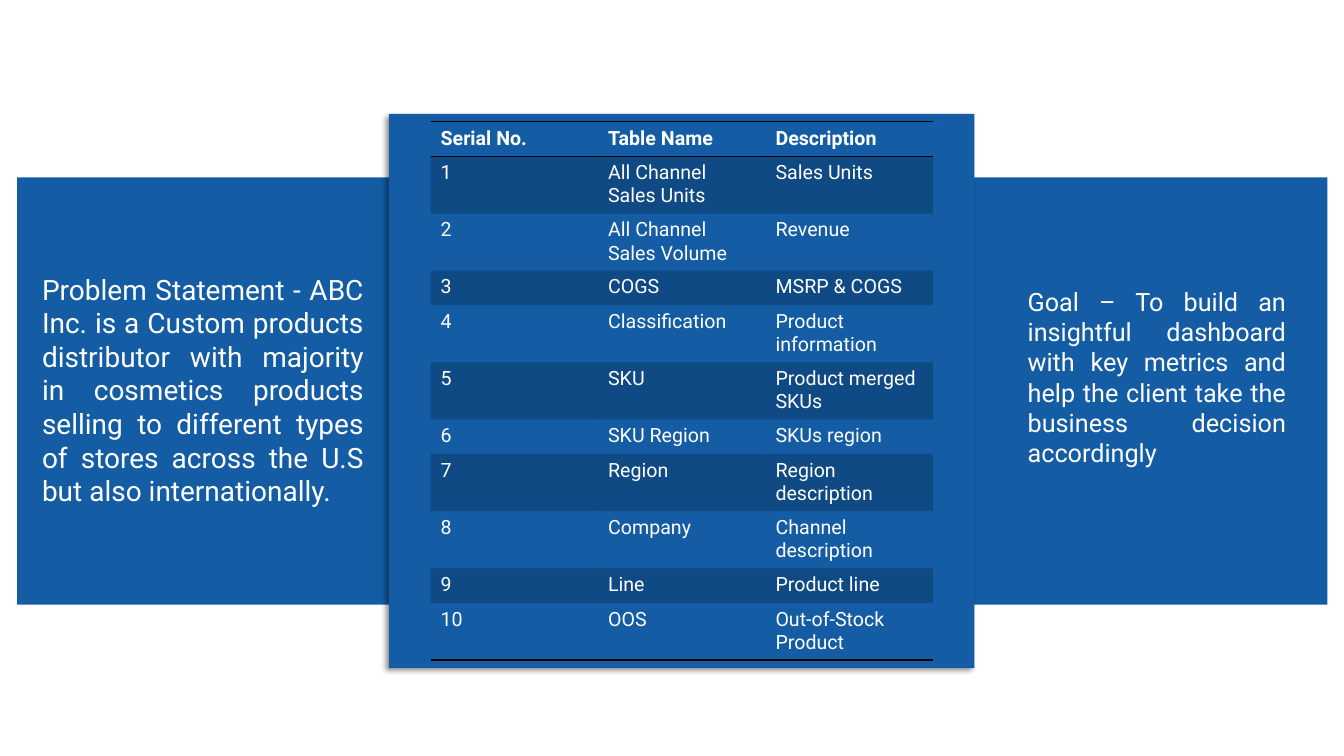
from lxml import etree
from pptx import Presentation
from pptx.dml import color
from pptx.enum import shapes, text
from pptx.oxml import ns
from pptx.util import Cm, Pt

BLUE, WHITE, BLACK = "145DA5", "FFFFFF", "000000"
FONT = "Roboto"
PLAIN = "{2D5ABB26-0587-4C30-8999-92F81FD0307C}"  # no style, no grid

PROBLEM = (
    "Problem Statement - ABC Inc. is a Custom products distributor with "
    "majority in cosmetics products selling to different types of stores "
    "across the U.S but also internationally."
)
GOAL = (
    "Goal – To build an insightful dashboard with key metrics and help "
    "the client take the business decision accordingly"
)
ROWS = [
    ("Serial No.", "Table Name", "Description"),
    ("1", "All Channel Sales Units", "Sales Units"),
    ("2", "All Channel Sales Volume", "Revenue"),
    ("3", "COGS", "MSRP & COGS"),
    ("4", "Classification", "Product information"),
    ("5", "SKU", "Product merged SKUs"),
    ("6", "SKU Region", "SKUs region"),
    ("7", "Region", "Region description"),
    ("8", "Company", "Channel description"),
    ("9", "Line", "Product line"),
    ("10", "OOS", "Out-of-Stock Product"),
]
SHORT = {0, 3, 6, 9}  # rows with a single line of text


def paint(fmt, value):
    fmt.solid()
    fmt.fore_color.rgb = color.RGBColor.from_string(value)


def node(parent, tag, **attrs):
    return etree.SubElement(parent, ns.qn(tag), attrs)


def style(para, size, bold=False):
    font = para.font
    font.name, font.size, font.bold = FONT, Pt(size), bold
    paint(font.fill, WHITE)


def box(parent, left, top, width, height):
    rect = parent.add_shape(
        shapes.MSO_SHAPE.RECTANGLE, Cm(left), Cm(top), Cm(width), Cm(height)
    )
    rect.shadow.inherit = False
    paint(rect.fill, BLUE)
    rect.line.fill.background()
    return rect


def panel(parent, left, note, words, size):
    """Blue square at left, with a justified note placed on it."""
    group = parent.add_group_shape().shapes
    box(group, left, 4.47, 10.77, 10.77)
    frame = box(group, *note).text_frame
    frame.word_wrap = True
    frame.vertical_anchor = text.MSO_ANCHOR.TOP
    para = frame.paragraphs[0]
    para.text = words
    para.alignment = text.PP_ALIGN.JUSTIFY
    style(para, size)


def shade(rect):
    """Soft shadow to the lower left."""
    list_ = rect.element.spPr.find(ns.qn("a:effectLst"))
    shadow = node(
        list_, "a:outerShdw", blurRad=str(Pt(4)), dist=str(Pt(3)),
        dir="8100000", algn="tr", rotWithShape="0",
    )
    node(node(shadow, "a:srgbClr", val=BLACK), "a:alpha", val="40000")


def rule(cell, side):
    """Thin black border on side T or B."""
    props = cell._tc.get_or_add_tcPr()
    line = node(props, "a:ln" + side, w=str(Pt(1)))
    node(node(line, "a:solidFill"), "a:srgbClr", val=BLACK)


def tint(cell):
    paint(cell.fill, BLACK)
    tone = next(cell._tc.tcPr.iter(ns.qn("a:srgbClr")))
    node(tone, "a:alpha", val="20000")


def grid(parent):
    frame = parent.add_table(
        len(ROWS), 3, Cm(10.85), Cm(3.07), Cm(12.66), Cm(13.54)
    )
    table = frame.table
    table.first_row = table.horz_banding = False
    table._tbl.tblPr.find(ns.qn("a:tableStyleId")).text = PLAIN
    for r, words in enumerate(ROWS):
        table.rows[r].height = Cm(0.87 if r in SHORT else 1.44)
        for c, word in enumerate(words):
            cell = table.cell(r, c)
            cell.text = word
            style(cell.text_frame.paragraphs[0], 14, bold=r == 0)
            if r == 0:
                rule(cell, "T")
            if r in (0, len(ROWS) - 1):
                rule(cell, "B")
            if r % 2:
                tint(cell)
            else:
                cell.fill.background()


def main():
    deck = Presentation()
    deck.slide_width, deck.slide_height = Cm(33.87), Cm(19.05)
    items = deck.slides.add_slide(deck.slide_layouts[6]).shapes
    panel(items, 22.68, (25.65, 7.09, 7.01, 4.88), GOAL, 18)
    panel(items, 0.43, (0.81, 6.73, 8.61, 6.25), PROBLEM, 20)
    shade(box(items, 9.8, 2.87, 14.76, 13.97))
    grid(items)
    deck.save("out.pptx")


if __name__ == "__main__":
    main()
